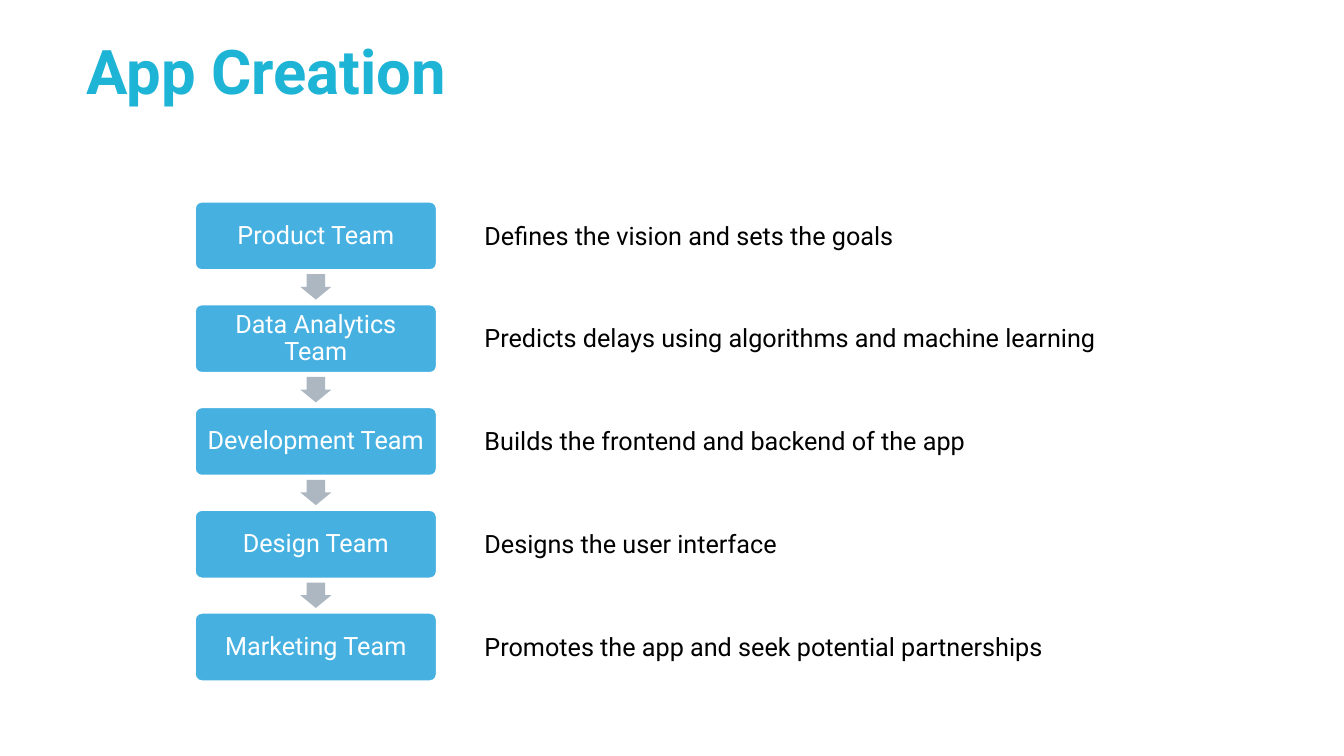
from pptx import Presentation
from pptx.dml.color import RGBColor
from pptx.enum.shapes import MSO_SHAPE
from pptx.enum.text import MSO_ANCHOR, PP_ALIGN
from pptx.util import Cm, Pt

ROUNDED, DOWN_ARROW = MSO_SHAPE.ROUNDED_RECTANGLE, MSO_SHAPE.DOWN_ARROW
MIDDLE = MSO_ANCHOR.MIDDLE
LEFT, CENTER = PP_ALIGN.LEFT, PP_ALIGN.CENTER

FONT = "Roboto"
COLORS = {
    "title": "1EB4D5",
    "team": "46B1E1",
    "arrow": "ACB7C1",
    "white": "FFFFFF",
    "text": "000000",
}
TEAMS = [
    ("Product Team", "Defines the vision and sets the goals"),
    ("Data Analytics Team", "Predicts delays using algorithms and machine learning"),
    ("Development Team", "Builds the frontend and backend of the app"),
    ("Design Team", "Designs the user interface"),
    ("Marketing Team", "Promotes the app and seek potential partnerships"),
]

# Centimetres
FIRST_TOP, PITCH = 5.08, 2.59
TEAM_LEFT, TEAM_WIDTH, TEAM_HEIGHT = 4.91, 6.1, 1.73
ARROW_WIDTH, ARROW_HEIGHT, ARROW_OFFSET = 0.78, 0.64, 1.83
ROLE_LEFT, ROLE_WIDTH, ROLE_HEIGHT, ROLE_OFFSET = 11.96, 18.06, 1.02, 0.34


def color(name):
    return RGBColor.from_string(COLORS[name])


def write(box, text, size, color_name, align=LEFT, spacing=1.0, bold=False):
    frame = box.text_frame
    frame.word_wrap = True
    frame.text = text
    para = frame.paragraphs[0]
    para.alignment = align
    para.line_spacing = spacing
    para.font.name = FONT
    para.font.size = Pt(size)
    para.font.bold = bold
    para.font.color.rgb = color(color_name)


def set_title(page, text):
    title = page.shapes.title
    title.left, title.top = Cm(1.93), Cm(0.05)
    title.width, title.height = Cm(27.28), Cm(3.68)
    title.text_frame.vertical_anchor = MIDDLE
    write(title, text, 44, "title", spacing=0.9, bold=True)


def add_filled(page, kind, left, top, width, height, fill):
    shape = page.shapes.add_shape(kind, Cm(left), Cm(top), Cm(width), Cm(height))
    shape.shadow.inherit = False
    shape.fill.solid()
    shape.fill.fore_color.rgb = color(fill)
    return shape


def add_team(page, top, name):
    box = add_filled(page, ROUNDED, TEAM_LEFT, top, TEAM_WIDTH, TEAM_HEIGHT, "team")
    box.adjustments[0] = 0.1
    box.line.color.rgb = color("white")
    box.line.width = Pt(1.5)
    frame = box.text_frame
    frame.margin_left = frame.margin_right = Cm(0.18)
    frame.margin_top = frame.margin_bottom = Cm(0.18)
    frame.vertical_anchor = MIDDLE
    write(box, name, 18, "white", CENTER, 0.9)


def add_arrow(page, top):
    left = TEAM_LEFT + (TEAM_WIDTH - ARROW_WIDTH) / 2
    arrow = add_filled(page, DOWN_ARROW, left, top, ARROW_WIDTH, ARROW_HEIGHT, "arrow")
    arrow.adjustments[0] = 0.6
    arrow.adjustments[1] = 0.5
    arrow.line.fill.background()


def add_role(page, top, text):
    box = page.shapes.add_textbox(Cm(ROLE_LEFT), Cm(top), Cm(ROLE_WIDTH), Cm(ROLE_HEIGHT))
    write(box, text, 18, "text")


def main():
    deck = Presentation()
    deck.slide_width, deck.slide_height = Cm(33.87), Cm(19.05)
    page = deck.slides.add_slide(deck.slide_layouts[5])
    set_title(page, "App Creation")
    for index, (name, role) in enumerate(TEAMS):
        top = FIRST_TOP + index * PITCH
        add_team(page, top, name)
        add_role(page, top + ROLE_OFFSET, role)
        if index < len(TEAMS) - 1:
            add_arrow(page, top + ARROW_OFFSET)
    deck.save("out.pptx")


if __name__ == "__main__":
    main()
